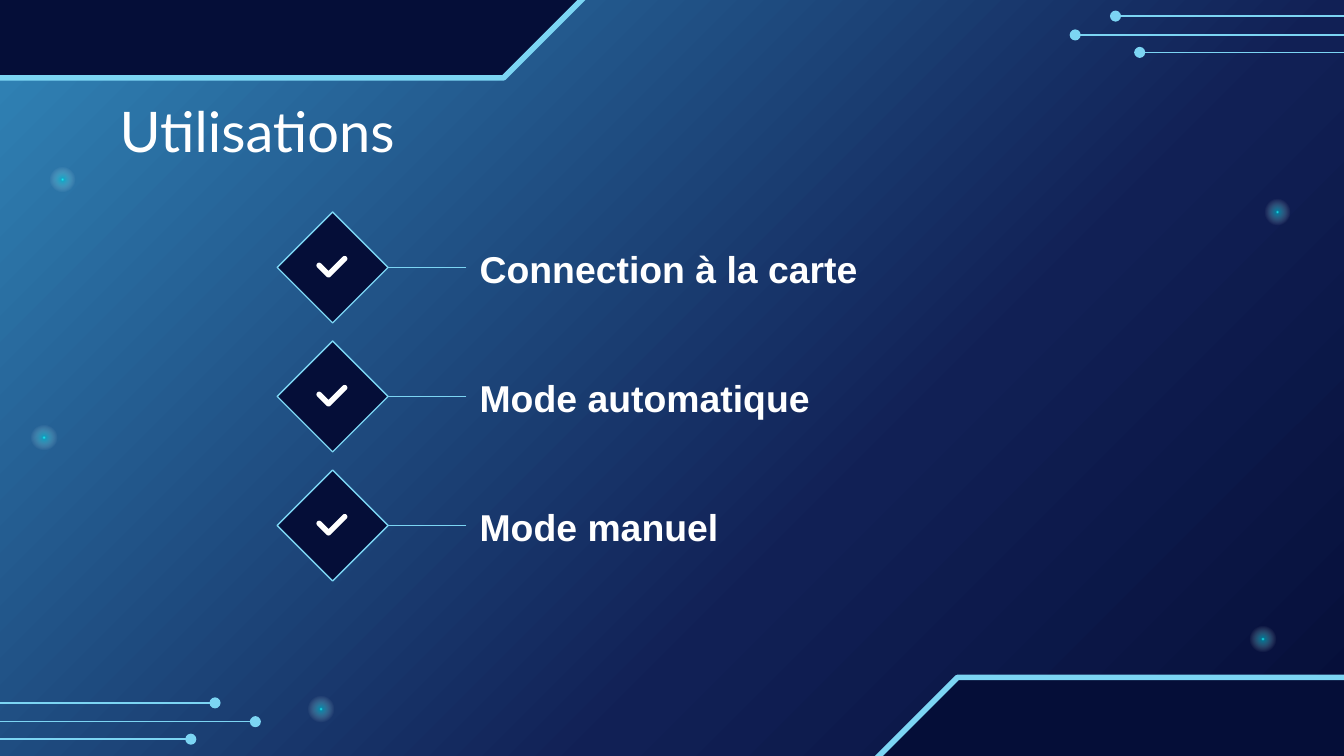
from dataclasses import dataclass
from math import cos, radians, sin, sqrt

from lxml.etree import SubElement
from pptx import Presentation
from pptx.dml.color import RGBColor as Color
from pptx.enum.shapes import MSO_CONNECTOR as Connector, MSO_SHAPE as Preset
from pptx.enum.text import MSO_ANCHOR as Anchor, PP_ALIGN as Align
from pptx.oxml.ns import qn
from pptx.util import Inches, Pt


@dataclass(frozen=True)
class Theme:
    navy: str = "050E38"
    sky: str = "7CD5F3"
    white: str = "FFFFFF"
    backdrop: tuple = ((0, "3186B9", 100), (64, "112055", 100), (100, "050E38", 100))
    glow: tuple = ((0, "21FFFF", 100), (9, "05D8E7", 48), (69, "FFFFFF", 0), (100, "FFFFFF", 0))
    title_font: str = "Lato"
    item_font: str = "Arial"
    title_size: int = 30
    item_size: int = 20
    thin: float = 0.75
    thick: float = 3


THEME = Theme()
SLIDE_WIDTH = Inches(10)
SLIDE_HEIGHT = Inches(5.625)
CELL = SLIDE_WIDTH / 100

ITEMS = ("Connection à la carte", "Mode automatique", "Mode manuel")
FIRST_ROW = 19.9
ROW_STEP = 9.6
DIAMOND_CENTER = 24.75
DIAMOND_SIZE = 8.25
TEXT_LEFT = 34.7
CORNERS = ((64.2, 50.4, 0), (-7.4, -8.3, 180))
CIRCUITS = (
    (103.1, 2.6, 80), (107.9, 3.9, 84.8), (106.1, 1.2, 83),
    (-4.1, 53.7, 19), (-9, 55, 14.2), (-7.1, 52.3, 16),
)
GLOWS = ((93, 46.6), (3.7, 12.4), (2.3, 31.6), (94.1, 14.8), (22.9, 51.8))


def cells(*values):
    return [round(value * CELL) for value in values]


def apply_format(target, values):
    for name, value in values.items():
        setattr(target, name, value)


def paint_gradient(fill, owner, stops, angle=None):
    fill.gradient()
    gradient = owner.find(".//" + qn("a:gradFill"))
    for child in list(gradient):
        gradient.remove(child)
    stop_list = SubElement(gradient, qn("a:gsLst"))
    for position, color, opacity in stops:
        stop = SubElement(stop_list, qn("a:gs"), pos=str(position * 1000))
        tint = SubElement(stop, qn("a:srgbClr"), val=color)
        SubElement(tint, qn("a:alpha"), val=str(opacity * 1000))
    if angle is None:
        center = SubElement(gradient, qn("a:path"), path="circle")
        SubElement(center, qn("a:fillToRect"), dict.fromkeys("ltrb", "50000"))
    else:
        SubElement(gradient, qn("a:lin"), ang=str(angle * 60000), scaled="0")


def paint_line(line, width):
    line.color.rgb = Color.from_string(THEME.sky)
    line.width = Pt(width)


def paint_solid(shape, color, line_width=None):
    shape.shadow.inherit = False
    shape.fill.solid()
    shape.fill.fore_color.rgb = Color.from_string(color)
    if line_width is None:
        shape.line.fill.background()
    else:
        paint_line(shape.line, line_width)


def write_text(shape, text, font, size, bold):
    frame = shape.text_frame
    margins = ("margin_left", "margin_top", "margin_right", "margin_bottom")
    apply_format(frame, dict.fromkeys(margins, Inches(0.1)))
    apply_format(frame, {"text": text, "word_wrap": True, "vertical_anchor": Anchor.MIDDLE})
    paragraph = frame.paragraphs[0]
    paragraph.alignment = Align.LEFT
    run_font = paragraph.runs[0].font
    apply_format(run_font, {"name": font, "size": Pt(size), "bold": bold})
    run_font.color.rgb = Color.from_string(THEME.white)


def add_title(slide, text):
    title = slide.shapes.title
    position = zip(("left", "top", "width", "height"), cells(7.9, 6.5, 84.3, 6.3))
    apply_format(title, dict(position))
    write_text(title, text, THEME.title_font, THEME.title_size, False)


def add_corner(slide, left, top, rotation):
    corner = slide.shapes.add_shape(Preset.SNIP_2_SAME_RECTANGLE, *cells(left, top, 51.9, 14.1))
    corner.adjustments[0] = 0.5
    corner.adjustments[1] = 0
    corner.rotation = rotation
    paint_solid(corner, THEME.navy, THEME.thick)


def add_line(slide, start, row, end, dotted=False):
    connector = slide.shapes.add_connector(Connector.STRAIGHT, *cells(start, row, end, row))
    paint_line(connector.line, THEME.thin)
    if dotted:
        SubElement(connector.line._get_or_add_ln(), qn("a:tailEnd"), type="oval")
    SubElement(connector._element.spPr, qn("a:effectLst"))


def add_glow(slide, left, top):
    glow = slide.shapes.add_shape(Preset.OVAL, *cells(left, top, 1.95, 1.95))
    paint_solid(glow, THEME.white)
    paint_gradient(glow.fill, glow._element, THEME.glow)


def arc(center_x, center_y, radius, start, end):
    angles = [radians(start + (end - start) * step / 8) for step in range(9)]
    return [(center_x + radius * cos(a), center_y + radius * sin(a)) for a in angles]


def add_check(slide, column, row):
    radius = 0.2
    elbow_x, elbow_y = column - 0.3, row + 0.55
    points = (
        arc(elbow_x - 0.7, elbow_y - 0.7, radius, -45, -225)
        + arc(elbow_x, elbow_y, radius, 135, 45)
        + arc(elbow_x + 1.2, elbow_y - 1.2, radius, 45, -135)
        + [(elbow_x, elbow_y - radius * sqrt(2))]
    )
    outline = [cells(*point) for point in points]
    builder = slide.shapes.build_freeform(*outline[0])
    builder.add_line_segments(outline[1:], close=True)
    paint_solid(builder.convert_to_shape(), THEME.white)


def add_item(slide, row, text):
    half = DIAMOND_SIZE / 2
    box = cells(DIAMOND_CENTER - half, row - half, DIAMOND_SIZE, DIAMOND_SIZE)
    diamond = slide.shapes.add_shape(Preset.DIAMOND, *box)
    paint_solid(diamond, THEME.navy, THEME.thin)
    add_check(slide, DIAMOND_CENTER, row)
    add_line(slide, TEXT_LEFT, row, DIAMOND_CENTER + half)
    label = slide.shapes.add_textbox(*cells(TEXT_LEFT, row - 1.6, 35.1, 3.3))
    write_text(label, text, THEME.item_font, THEME.item_size, True)


def main():
    presentation = Presentation()
    apply_format(presentation, {"slide_width": SLIDE_WIDTH, "slide_height": SLIDE_HEIGHT})
    slide = presentation.slides.add_slide(presentation.slide_layouts[5])
    paint_gradient(slide.background.fill, slide.element, THEME.backdrop, 45)
    for corner in CORNERS:
        add_corner(slide, *corner)
    for circuit in CIRCUITS:
        add_line(slide, *circuit, dotted=True)
    for glow in GLOWS:
        add_glow(slide, *glow)
    add_title(slide, "Utilisations")
    for index, text in enumerate(ITEMS):
        add_item(slide, FIRST_ROW + index * ROW_STEP, text)
    presentation.save("out.pptx")


if __name__ == "__main__":
    main()
